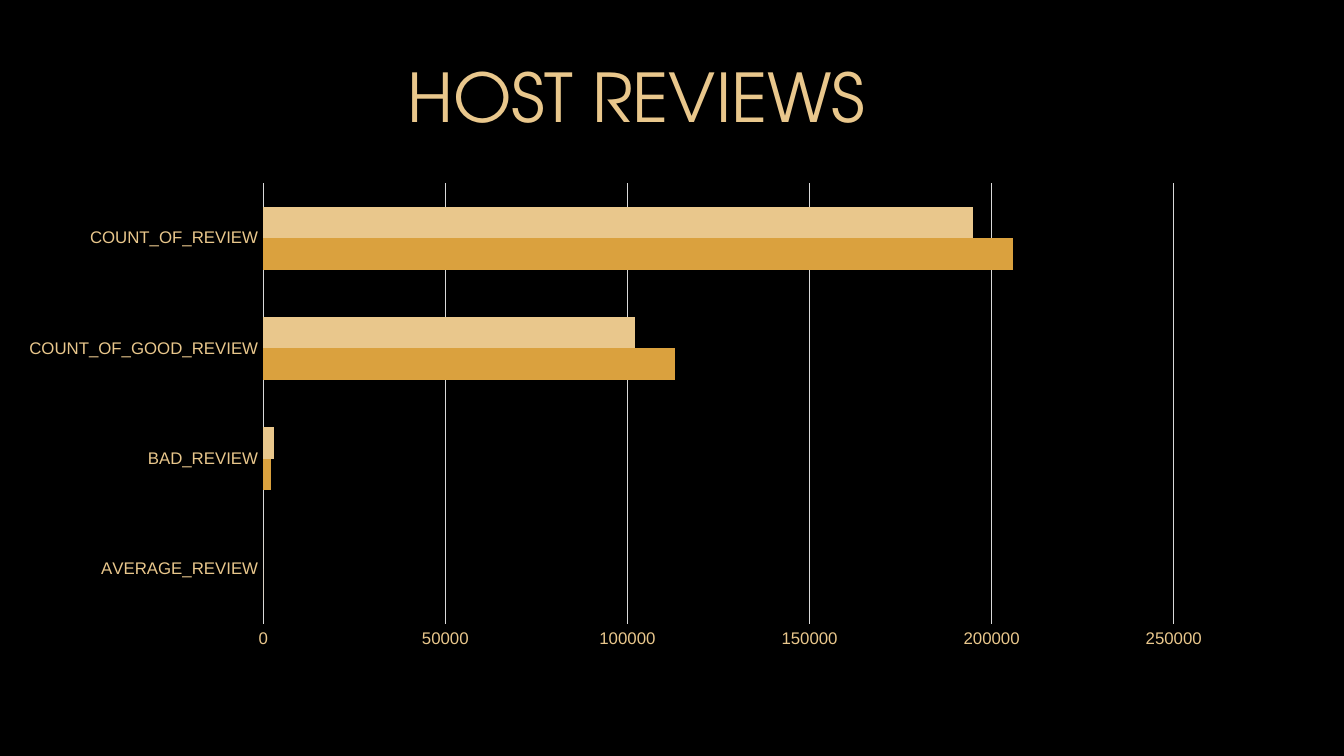
import dataclasses

import lxml.etree
import pptx
import pptx.chart.data
import pptx.dml.color
import pptx.enum.chart
import pptx.enum.text
import pptx.oxml.ns
import pptx.util

PX = 9525


@dataclasses.dataclass(frozen=True)
class Theme:
    background: str = "000000"
    accent: str = "E9C78C"
    bar: str = "DAA13E"
    grid: str = "D9D9D9"
    title_font: str = "TeX Gyre Adventor"
    body_font: str = "Arial"
    title_size: int = 36
    chart_size: int = 10
    axis_size: int = 9


THEME = Theme()


@dataclasses.dataclass(frozen=True)
class Box:
    left: int
    top: int
    width: int
    height: int

    def emu(self):
        return [side * PX for side in dataclasses.astuple(self)]


def rgb(value):
    return pptx.dml.color.RGBColor.from_string(value)


def format_font(font, *, name, size, color):
    font.name = name
    font.size = pptx.util.Pt(size)
    font.bold = False
    font.color.rgb = rgb(color)


def write_text(para, text, *, align, **style):
    para.alignment = align
    span = para.add_run()
    span.text = text
    format_font(span.font, **style)


def place_title(page, box, text):
    title = page.shapes.title
    title.left, title.top, title.width, title.height = box.emu()
    frame = title.text_frame
    frame.word_wrap = True
    frame.auto_size = pptx.enum.text.MSO_AUTO_SIZE.NONE
    frame.vertical_anchor = pptx.enum.text.MSO_ANCHOR.TOP
    frame.margin_left = frame.margin_right = pptx.util.Inches(0.1)
    frame.margin_top = frame.margin_bottom = pptx.util.Inches(0.1)
    write_text(frame.paragraphs[0], text, align=pptx.enum.text.PP_ALIGN.CENTER,
               name=THEME.title_font, size=THEME.title_size, color=THEME.accent)


def set_plot_area(chart, **fractions):
    plot_area = chart._chartSpace.chart.plotArea
    for old in plot_area.findall(pptx.oxml.ns.qn("c:layout")):
        plot_area.remove(old)
    layout = lxml.etree.Element(pptx.oxml.ns.qn("c:layout"))
    manual = lxml.etree.SubElement(layout, pptx.oxml.ns.qn("c:manualLayout"))
    settings = {"layoutTarget": "inner", "xMode": "edge", "yMode": "edge", **fractions}
    for tag, value in settings.items():
        lxml.etree.SubElement(manual, pptx.oxml.ns.qn(f"c:{tag}"), val=str(value))
    plot_area.insert(0, layout)


def format_axis(axis):
    axis.major_tick_mark = axis.minor_tick_mark = pptx.enum.chart.XL_TICK_MARK.NONE
    axis.format.line.fill.background()
    format_font(axis.tick_labels.font, name=THEME.body_font,
                size=THEME.axis_size, color=THEME.accent)


def place_review_chart(page, box, categories, series):
    data = pptx.chart.data.CategoryChartData(number_format="General")
    data.categories = categories
    for name, values, _ in series:
        data.add_series(name, values)
    chart = page.shapes.add_chart(
        pptx.enum.chart.XL_CHART_TYPE.BAR_CLUSTERED, *box.emu(), data).chart
    chart.has_title = False
    chart.has_legend = False
    format_font(chart.font, name=THEME.body_font,
                size=THEME.chart_size, color=THEME.background)
    set_plot_area(chart, x=0.212, y=0.02, w=0.745, h=0.91)

    plot = chart.plots[0]
    plot.gap_width = 150
    plot.overlap = 0
    plot.vary_by_categories = False
    for bars, (_, _, color) in zip(plot.series, series):
        bars.invert_if_negative = False
        bars.format.fill.solid()
        bars.format.fill.fore_color.rgb = rgb(color)

    format_axis(chart.category_axis)
    values = chart.value_axis
    format_axis(values)
    values.minimum_scale, values.maximum_scale, values.major_unit = 0, 250000, 50000
    values.has_major_gridlines = True
    line = values.major_gridlines.format.line
    line.color.rgb = rgb(THEME.grid)
    line.width = pptx.util.Pt(0.75)


def main():
    deck = pptx.Presentation()
    deck.slide_width, deck.slide_height = 960 * PX, 540 * PX
    page = deck.slides.add_slide(deck.slide_layouts.get_by_name("Title Only"))
    page.background.fill.solid()
    page.background.fill.fore_color.rgb = rgb(THEME.background)

    place_title(page, Box(33, 30, 843, 56), "HOST REVIEWS")
    place_review_chart(
        page, Box(3, 124, 873, 346),
        ["AVERAGE_REVIEW", "BAD_REVIEW", "COUNT_OF_GOOD_REVIEW", "COUNT_OF_REVIEW"],
        [("Series 1", (0, 2000, 113000, 206000), THEME.bar),
         ("Series 2", (0, 3000, 102000, 195000), THEME.accent)])
    deck.save("out.pptx")


if __name__ == "__main__":
    main()
